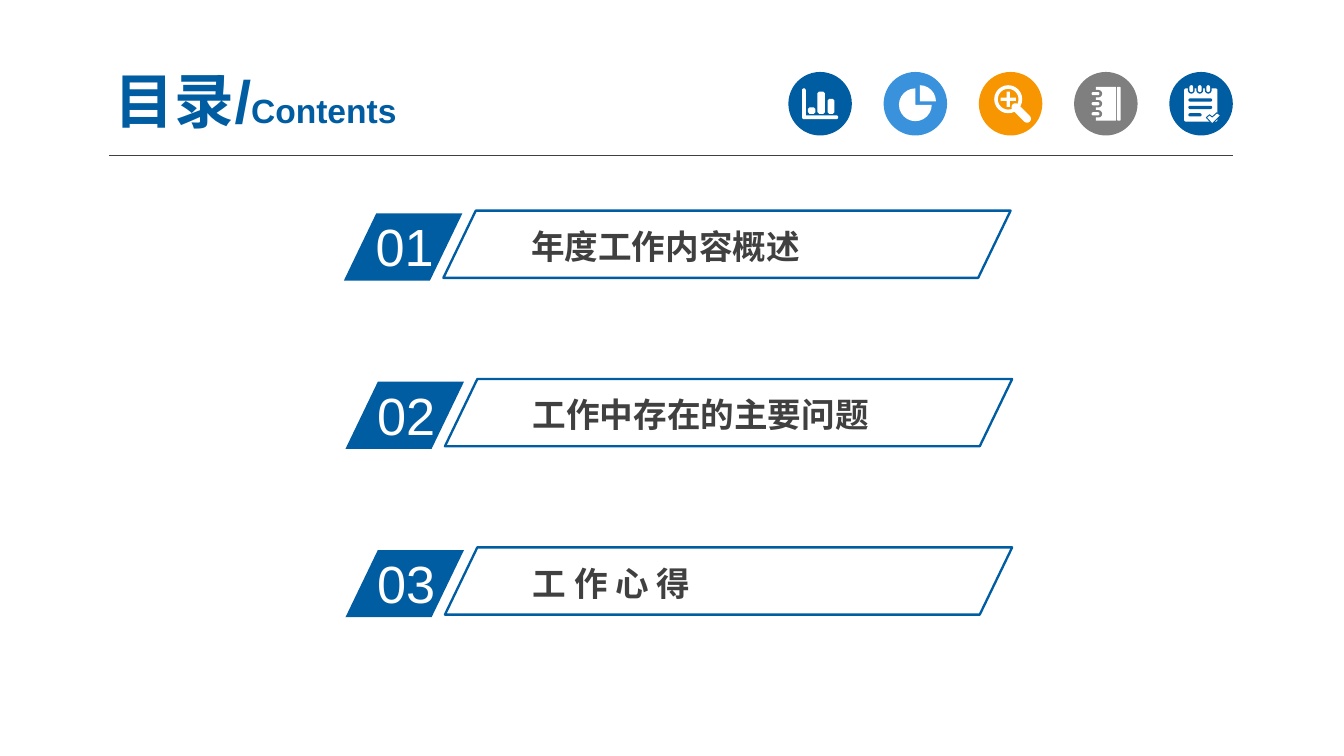
from pptx import Presentation
from pptx.dml.color import RGBColor
from pptx.enum.shapes import MSO_CONNECTOR, MSO_SHAPE as Kind
from pptx.enum.text import MSO_ANCHOR as Anchor, PP_ALIGN as Align
from pptx.util import Cm, Pt
from lxml import etree
from pptx.oxml.ns import qn

BLUE, SKY, ORANGE, GRAY = "005DA2", "3992DB", "F79600", "7F7F7F"
WHITE, INK = "FFFFFF", "404040"
SLANT = 0.482
DISC, DISC_PITCH = 1.2, 1.8
ROW_PITCH = 3.18


def color(value):
    return RGBColor.from_string(value)


def paint(shape, fill=None, line=None, width=1.25):
    shape.shadow.inherit = False
    if fill:
        shape.fill.solid()
        shape.fill.fore_color.rgb = color(fill)
    else:
        shape.fill.background()
    if line:
        shape.line.color.rgb = color(line)
        shape.line.width = Pt(width)
    else:
        shape.line.fill.background()


def add_shape(page, kind, box, adjust=(), **style):
    shape = page.shapes.add_shape(kind, *map(Cm, box))
    for index, value in enumerate(adjust):
        shape.adjustments[index] = value
    paint(shape, **style)
    return shape


def add_text(page, box, spans, ink, bold=False, align=Align.LEFT,
             anchor=Anchor.TOP, inset=(0.25, 0.13)):
    """Write one paragraph from (text, point size) spans."""
    frame = page.shapes.add_textbox(*map(Cm, box)).text_frame
    frame.word_wrap = True
    frame.vertical_anchor = anchor
    frame.margin_left = frame.margin_right = Cm(inset[0])
    frame.margin_top = frame.margin_bottom = Cm(inset[1])
    para = frame.paragraphs[0]
    para.alignment = align
    for text, size in spans:
        span = para.add_run()
        span.text = text
        span.font.name = "Arial"
        span.font.size = Pt(size)
        span.font.bold = bold
        span.font.color.rgb = color(ink)


def cut_corners(left, top, width, height, cut=0.03):
    """Return the outline of a bar with its corners taken off."""
    right, bottom = left + width, top + height
    return ((left + cut, top), (right - cut, top), (right, top + cut),
            (right, bottom - cut), (right - cut, bottom),
            (left + cut, bottom), (left, bottom - cut), (left, top + cut))


def bar_chart_icon(draw, draw_outline, _):
    axes = ((0.28, 0.31), (0.31, 0.31), (0.33, 0.34), (0.33, 0.82),
            (0.92, 0.82), (0.94, 0.84), (0.94, 0.87), (0.92, 0.89),
            (0.28, 0.89), (0.26, 0.87), (0.26, 0.33))
    bars = ((0.37, 0.67, 0.14, 0.12), (0.55, 0.37, 0.14, 0.42),
            (0.74, 0.51, 0.13, 0.28))
    draw_outline([axes] + [cut_corners(*bar) for bar in bars])


def pie_icon(draw, _, __):
    top_angle = 270 * 0.6  # pie angles count in 100000ths of 1/60000 degree
    draw(Kind.PIE, (0.29, 0.31, 0.62, 0.62), adjust=(0, top_angle))
    draw(Kind.PIE, (0.38, 0.25, 0.61, 0.61), adjust=(top_angle, 0))


def magnifier_icon(draw, _, __):
    draw(Kind.DONUT, (0.29, 0.25, 0.53, 0.53), adjust=(0.13,))
    draw(Kind.CROSS, (0.41, 0.37, 0.29, 0.29), adjust=(0.39,))
    handle = draw(Kind.ROUNDED_RECTANGLE, (0.57, 0.7, 0.46, 0.15),
                  adjust=(0.5,))
    handle.rotation = 45


def notebook_icon(draw, _, disc_color):
    draw(Kind.RECTANGLE, (0.41, 0.28, 0.38, 0.64))
    draw(Kind.ROUNDED_RECTANGLE, (0.81, 0.28, 0.07, 0.64), adjust=(0.3,))
    for ring in range(3):
        top = 0.34 + 0.19 * ring
        draw(Kind.ROUNDED_RECTANGLE, (0.3, top, 0.23, 0.14),
             adjust=(0.5,), fill=disc_color)
        draw(Kind.ROUNDED_RECTANGLE, (0.33, top + 0.04, 0.15, 0.06),
             adjust=(0.5,))


def checklist_icon(draw, draw_outline, disc_color):
    draw(Kind.ROUNDED_RECTANGLE, (0.28, 0.31, 0.63, 0.63), adjust=(0.06,))
    for ring in range(3):
        left = 0.35 + 0.16 * ring
        draw(Kind.ROUNDED_RECTANGLE, (left, 0.25, 0.13, 0.16),
             adjust=(0.5,), fill=disc_color)
        draw(Kind.ROUNDED_RECTANGLE, (left + 0.03, 0.25, 0.07, 0.13),
             adjust=(0.5,))
    for top, width in ((0.5, 0.45), (0.64, 0.45), (0.78, 0.25)):
        draw(Kind.ROUNDED_RECTANGLE, (0.36, top, width, 0.06),
             adjust=(0.5,), fill=disc_color)
    tick = ((0.7, 0.86), (0.76, 0.81), (0.81, 0.85), (0.9, 0.77),
            (0.97, 0.82), (0.81, 0.98))
    draw_outline([tick], line=disc_color, width=0.5)


def add_icon(page, left, top, disc_color, icon):
    """Place a round badge and let icon draw its parts relative to it."""
    def draw(kind, box, adjust=(), fill=WHITE):
        x, y, width, height = box
        return add_shape(page, kind, (left + x, top + y, width, height),
                         adjust, fill=fill)

    def draw_outline(outlines, **style):
        builder = None
        for outline in outlines:
            corners = [(Cm(left + x), Cm(top + y)) for x, y in outline]
            if builder:
                builder.move_to(*corners[0])
            else:
                builder = page.shapes.build_freeform(*corners[0])
            builder.add_line_segments(corners[1:], close=True)
        paint(builder.convert_to_shape(), fill=WHITE, **style)

    draw(Kind.OVAL, (0, 0, DISC, DISC), fill=disc_color)
    icon(draw, draw_outline, disc_color)


def add_header(page, left, top, width):
    add_text(page, (left - 0.36, top - 0.17, 6.27, 1.37),
             [("目录/", 32), ("Contents", 18)], BLUE, bold=True,
             align=Align.CENTER, anchor=Anchor.MIDDLE)
    rule = page.shapes.add_connector(
        MSO_CONNECTOR.STRAIGHT, Cm(left), Cm(top + 1.58),
        Cm(left + width), Cm(top + 1.58))
    rule.line.color.rgb = color(INK)
    rule.line.width = Pt(0.5)
    etree.SubElement(rule._element.spPr, qn("a:effectLst"))
    badges = ((BLUE, bar_chart_icon), (SKY, pie_icon),
              (ORANGE, magnifier_icon), (GRAY, notebook_icon),
              (BLUE, checklist_icon))
    first = left + width - DISC - DISC_PITCH * (len(badges) - 1)
    for index, (disc_color, icon) in enumerate(badges):
        add_icon(page, first + DISC_PITCH * index, top, disc_color, icon)


def add_entry(page, left, top, number, title):
    add_shape(page, Kind.PARALLELOGRAM, (left, top + 0.05, 2.24, 1.27),
              (SLANT,), fill=BLUE)
    add_text(page, (left + 0.35, top - 0.06, 2.13, 1.45),
             [(number, 28)], WHITE)
    add_text(page, (left + 3.36, top + 0.19, 7.85, 0.97),
             [(title, 18)], INK, bold=True, inset=(0.18, 0.1))
    add_shape(page, Kind.PARALLELOGRAM, (left + 1.88, top, 10.72, 1.27),
              (SLANT,), line=BLUE)


def main():
    deck = Presentation()
    deck.slide_width, deck.slide_height = Cm(25.4), Cm(14.28)
    page = deck.slides.add_slide(deck.slide_layouts[6])
    add_header(page, left=2.06, top=1.36, width=21.24)
    entries = ((6.5, "年度工作内容概述"), (6.53, "工作中存在的主要问题"),
               (6.53, "工 作 心 得"))
    for index, (left, title) in enumerate(entries):
        add_entry(page, left, 3.98 + ROW_PITCH * index,
                  f"{index + 1:02}", title)
    deck.save("out.pptx")


if __name__ == "__main__":
    main()
